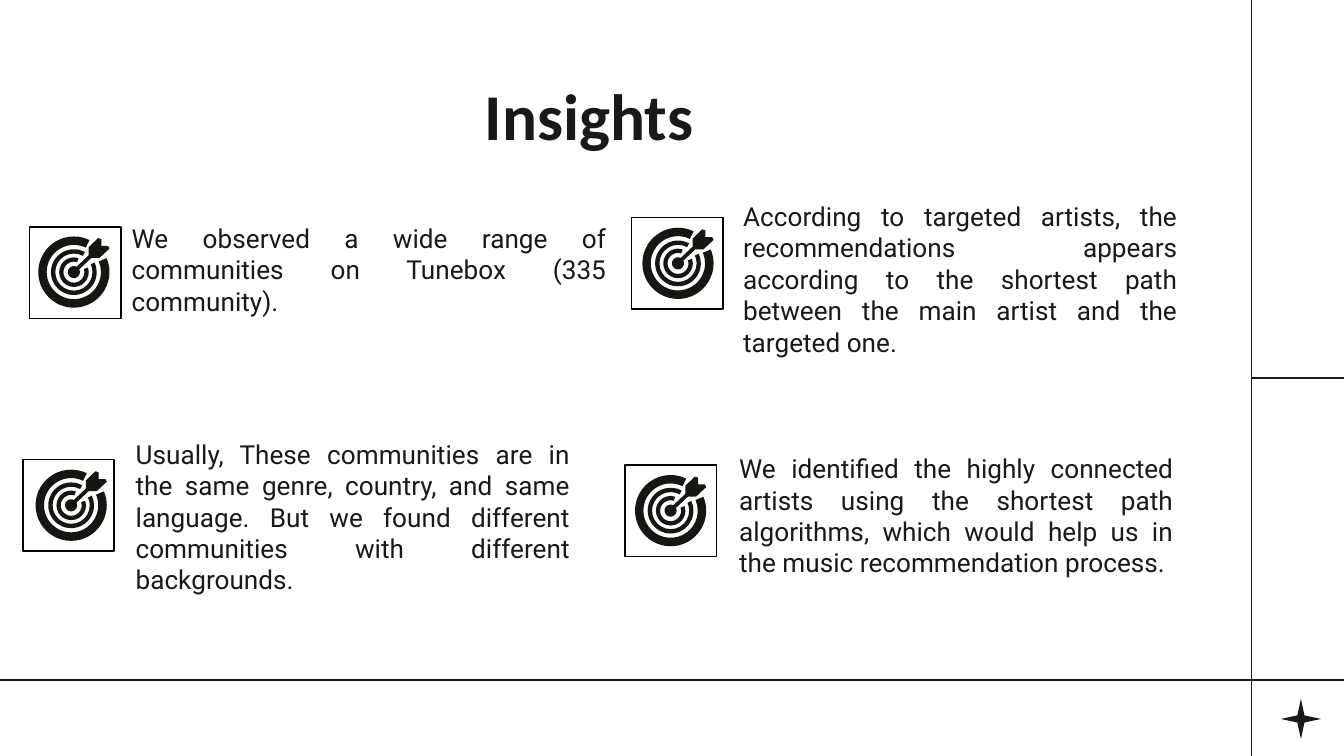
import math

from lxml import etree
from pptx import Presentation
from pptx.dml.color import RGBColor
from pptx.enum.shapes import MSO_CONNECTOR, MSO_SHAPE
from pptx.enum.text import MSO_ANCHOR, PP_ALIGN
from pptx.oxml.ns import qn
from pptx.util import Inches, Pt

STRAIGHT = MSO_CONNECTOR.STRAIGHT
RECTANGLE, STAR, ARC = MSO_SHAPE.RECTANGLE, MSO_SHAPE.STAR_4_POINT, MSO_SHAPE.BLOCK_ARC
CENTER, JUSTIFY = PP_ALIGN.CENTER, PP_ALIGN.JUSTIFY
BOTTOM, MIDDLE = MSO_ANCHOR.BOTTOM, MSO_ANCHOR.MIDDLE
COLORS = {
    name: RGBColor.from_string(value)
    for name, value in {"ink": "191919", "icon": "181613", "frame": "000000", "paper": "FFFFFF"}.items()
}

deck = Presentation()
deck.slide_width, deck.slide_height = Inches(10), Inches(5.625)
page = deck.slides.add_slide(deck.slide_layouts[6])
page.background.fill.solid()
page.background.fill.fore_color.rgb = COLORS["paper"]

# The grid has 100 columns, and rows as tall as a column is wide.
CELL = deck.slide_width // 100
COLUMNS, ROWS = 100, 56.25
SIDEBAR, FOOTER = 93.1, 50.6


def cells(*counts):
    """Turn grid counts into lengths."""
    return [round(count * CELL) for count in counts]


def add_text(text, area, font_name, size, align, anchor, bold=False):
    box = page.shapes.add_textbox(*cells(*area))
    frame = box.text_frame
    frame.word_wrap = True
    frame.vertical_anchor = anchor
    frame.margin_left = 0
    frame.margin_right = frame.margin_top = frame.margin_bottom = CELL
    para = frame.paragraphs[0]
    para.text = text
    para.alignment = align
    para.font.name, para.font.size, para.font.bold = font_name, Pt(size), bold
    para.font.color.rgb = COLORS["ink"]


# Page rules
for ends in (
    (SIDEBAR, ROWS / 2, COLUMNS, ROWS / 2),
    (0, FOOTER, COLUMNS, FOOTER),
    (SIDEBAR, 0, SIDEBAR, ROWS),
):
    rule = page.shapes.add_connector(STRAIGHT, *cells(*ends))
    rule.line.color.rgb = COLORS["ink"]
    rule.line.width = Pt(0.75)
    etree.SubElement(rule._element.spPr, qn("a:effectLst"))

star = page.shapes.add_shape(STAR, *cells(95.3, 52, 3, 3))
star.adjustments[0] = 0.125
star.fill.solid()
star.fill.fore_color.rgb = COLORS["ink"]
star.line.fill.background()
star.shadow.inherit = False

add_text("Insights", (3.2, 5.8, 82.3, 6.6), "Calibri", 35, CENTER, BOTTOM, bold=True)

# Target rings: outer radius, inner radius, clockwise angles where the ring starts and ends
RINGS = [(2.65, 2.02, 337, 296), (1.7, 1.38, 335, 299), (1.1, 0.78, 342, 288)]
ANGLE_UNIT = 0.6  # adjustment value of one degree

# Arrow with the bullseye at its tip, relative to the centre of the target
BULLSEYE = 0.45
turns = [math.radians(angle) for angle in range(63, 388, 18)]
ARROW = [(BULLSEYE * math.cos(turn), -BULLSEYE * math.sin(turn)) for turn in turns] + [
    (1.3, -1.05), (1.9, -1.05), (2.65, -1.75), (2.55, -1.95), (2.05, -1.95),
    (2.05, -2.45), (1.8, -2.53), (1.1, -1.85), (1.1, -1.25),
]

# Insights: text, text area, frame corner, target centre
FRAME = 6.8
INSIGHTS = [
    ("We observed a wide range of communities on Tunebox (335 community).",
     (9.8, 14.6, 36.3, 10.9), (2.2, 16.9), (5.5, 20.25)),
    ("According to targeted artists, the recommendations appears according to the "
     "shortest path between the main artist and the targeted one.",
     (55.3, 15.2, 33.3, 11.1), (47, 16.2), (50.45, 19.6)),
    ("Usually, These communities are in the same genre, country, and same language. "
     "But we found different communities with different backgrounds.",
     (10.1, 32.9, 33.3, 11.1), (1.7, 34.2), (5.3, 37.6)),
    ("We identified the highly connected artists using the shortest path algorithms, "
     "which would help us in the music recommendation process.",
     (55, 32.8, 33.3, 11.1), (46.5, 34.6), (49.9, 38)),
]
for text, area, corner, (center_x, center_y) in INSIGHTS:
    frame = page.shapes.add_shape(RECTANGLE, *cells(*corner, FRAME, FRAME))
    frame.fill.background()
    frame.line.color.rgb = COLORS["frame"]
    frame.line.width = Pt(0.75)
    frame.shadow.inherit = False

    target = []
    for outer, inner, start, end in RINGS:
        ring = page.shapes.add_shape(
            ARC, *cells(center_x - outer, center_y - outer, 2 * outer, 2 * outer))
        ring.adjustments[0] = start * ANGLE_UNIT
        ring.adjustments[1] = end * ANGLE_UNIT
        ring.adjustments[2] = (outer - inner) / (2 * outer)
        target.append(ring)

    points = [cells(center_x + x, center_y + y) for x, y in ARROW]
    builder = page.shapes.build_freeform(*points[0])
    builder.add_line_segments(points[1:], close=True)
    target.append(builder.convert_to_shape())

    for part in target:
        part.fill.solid()
        part.fill.fore_color.rgb = COLORS["icon"]
        part.line.fill.background()
        part.shadow.inherit = False

    add_text(text, area, "Roboto", 14, JUSTIFY, MIDDLE)

deck.save("out.pptx")
